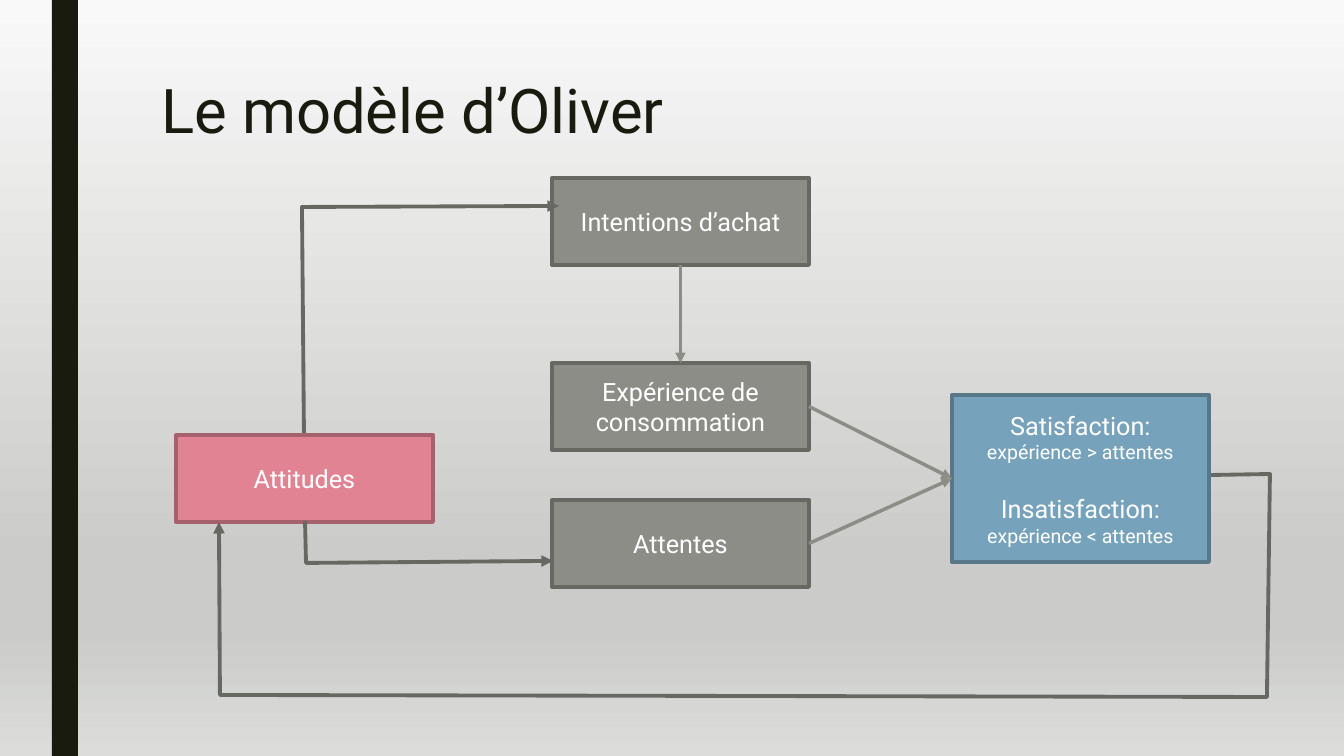
from pptx import Presentation
from pptx.dml.color import RGBColor
from pptx.enum.dml import MSO_FILL
from pptx.enum.shapes import MSO_CONNECTOR, MSO_SHAPE
from pptx.enum.text import MSO_ANCHOR, PP_ALIGN
from pptx.oxml import parse_xml
from pptx.oxml.ns import nsdecls, qn
from pptx.util import Pt
from lxml.etree import SubElement

SCALE = 12192000 / 1344
FONT = "Roboto"
INK = RGBColor(0x19, 0x1B, 0x0E)
WHITE = RGBColor(0xFF, 0xFF, 0xFF)
GREY = RGBColor(0x8C, 0x8D, 0x86)
DARK_GREY = RGBColor(0x68, 0x68, 0x63)
BLUE = RGBColor(0x77, 0xA2, 0xBB)
DARK_BLUE = RGBColor(0x58, 0x78, 0x8A)
PINK = RGBColor(0xE2, 0x83, 0x94)
DARK_PINK = RGBColor(0xA7, 0x61, 0x6D)
BACKGROUND_STOPS = [
    (0, RGBColor(0xF9, 0xF9, 0xF9)),
    (74, RGBColor(0xCB, 0xCC, 0xC9)),
    (83, RGBColor(0xCB, 0xCC, 0xC9)),
    (100, RGBColor(0xDC, 0xDD, 0xDB)),
]
BOX_WIDTH, BOX_HEIGHT = 257, 87
TOP, LEFT, BOTTOM, RIGHT = range(4)


def px(length):
    return round(length * SCALE)


def paint_background(page):
    fill = page.background.fill
    fill.gradient()
    fill.gradient_angle = 270
    stops = next(page.element.iter(qn("a:gsLst")))
    for stop in list(stops):
        stops.remove(stop)
    for percent, color in BACKGROUND_STOPS:
        stops.append(parse_xml(
            f'<a:gs {nsdecls("a")} pos="{percent * 1000}">'
            f'<a:srgbClr val="{color}"/></a:gs>'))


def add_span(para, text, size, color):
    span = para.add_run()
    span.text = text
    span.font.name = FONT
    span.font.size = Pt(size)
    span.font.color.rgb = color


def write_title(page, text):
    title = page.shapes.title
    title.left, title.top, title.width, title.height = map(px, (151, 76, 1058, 163))
    title.text_frame.vertical_anchor = MSO_ANCHOR.TOP
    para = title.text_frame.paragraphs[0]
    para.alignment = PP_ALIGN.LEFT
    para.line_spacing = 0.89
    add_span(para, text, 44, INK)


def add_rectangle(page, left, top, width, height, color):
    box = page.shapes.add_shape(
        MSO_SHAPE.RECTANGLE, px(left), px(top), px(width), px(height))
    box.shadow.inherit = False
    box.fill.solid()
    box.fill.fore_color.rgb = color
    box.line.fill.background()
    return box


def add_box(page, left, top, lines, color=GREY, border=DARK_GREY, height=BOX_HEIGHT):
    """Add a bordered box; each line is (text, size, space before) in points."""
    box = add_rectangle(page, left, top, BOX_WIDTH, height, color)
    box.line.color.rgb = border
    box.line.width = Pt(2.75)
    frame = box.text_frame
    frame.word_wrap = True
    frame.vertical_anchor = MSO_ANCHOR.MIDDLE
    for index, (text, size, gap) in enumerate(lines):
        para = frame.add_paragraph() if index else frame.paragraphs[0]
        para.alignment = PP_ALIGN.CENTER
        if gap:
            para.space_before = Pt(gap)
        add_span(para, text, size, WHITE)
    return box


def style_arrow(line, color, width):
    line.color.rgb = color
    line.width = Pt(width)
    SubElement(line.fill._xPr if line.fill.type != MSO_FILL.SOLID else
               line._get_or_add_ln(), qn("a:tailEnd"), type="triangle")


def add_link(page, source, source_side, target, target_side):
    link = page.shapes.add_connector(MSO_CONNECTOR.STRAIGHT, 0, 0, 0, 0)
    link.begin_connect(source, source_side)
    link.end_connect(target, target_side)
    style_arrow(link.line, GREY, 2.5)
    SubElement(link.element.spPr, qn("a:effectLst"))


def add_bent_arrow(page, start, *corners):
    builder = page.shapes.build_freeform(*start, scale=SCALE)
    builder.add_line_segments(corners, close=False)
    arrow = builder.convert_to_shape()
    arrow.shadow.inherit = False
    arrow.fill.background()
    style_arrow(arrow.line, DARK_GREY, 2.75)


def main():
    deck = Presentation()
    deck.slide_width, deck.slide_height = px(1344), px(756)
    page = deck.slides.add_slide(deck.slide_layouts[5])
    paint_background(page)
    add_rectangle(page, 52, 0, 26, 756, INK)
    write_title(page, "Le modèle d’Oliver")

    experience = add_box(page, 552, 363, [("Expérience de consommation", 18, 0)])
    expectations = add_box(page, 552, 500, [("Attentes", 18, 0)])
    satisfaction = add_box(page, 952, 395, [
        ("Satisfaction:", 18, 0),
        ("expérience > attentes", 14, 0),
        ("Insatisfaction:", 18, 21),
        ("expérience < attentes", 14, 0),
    ], BLUE, DARK_BLUE, 167)
    intentions = add_box(page, 552, 178, [("Intentions d’achat", 18, 0)])
    add_box(page, 176, 435, [("Attitudes", 18, 0)], PINK, DARK_PINK)

    add_link(page, experience, RIGHT, satisfaction, LEFT)
    add_link(page, expectations, RIGHT, satisfaction, LEFT)
    add_link(page, intentions, BOTTOM, experience, TOP)
    add_bent_arrow(page, (304, 433), (302, 207), (559, 206))
    add_bent_arrow(page, (305, 521), (306, 563), (553, 561))
    add_bent_arrow(page, (1211, 475), (1270, 474), (1267, 697), (220, 695), (219, 522))
    deck.save("out.pptx")


if __name__ == "__main__":
    main()
